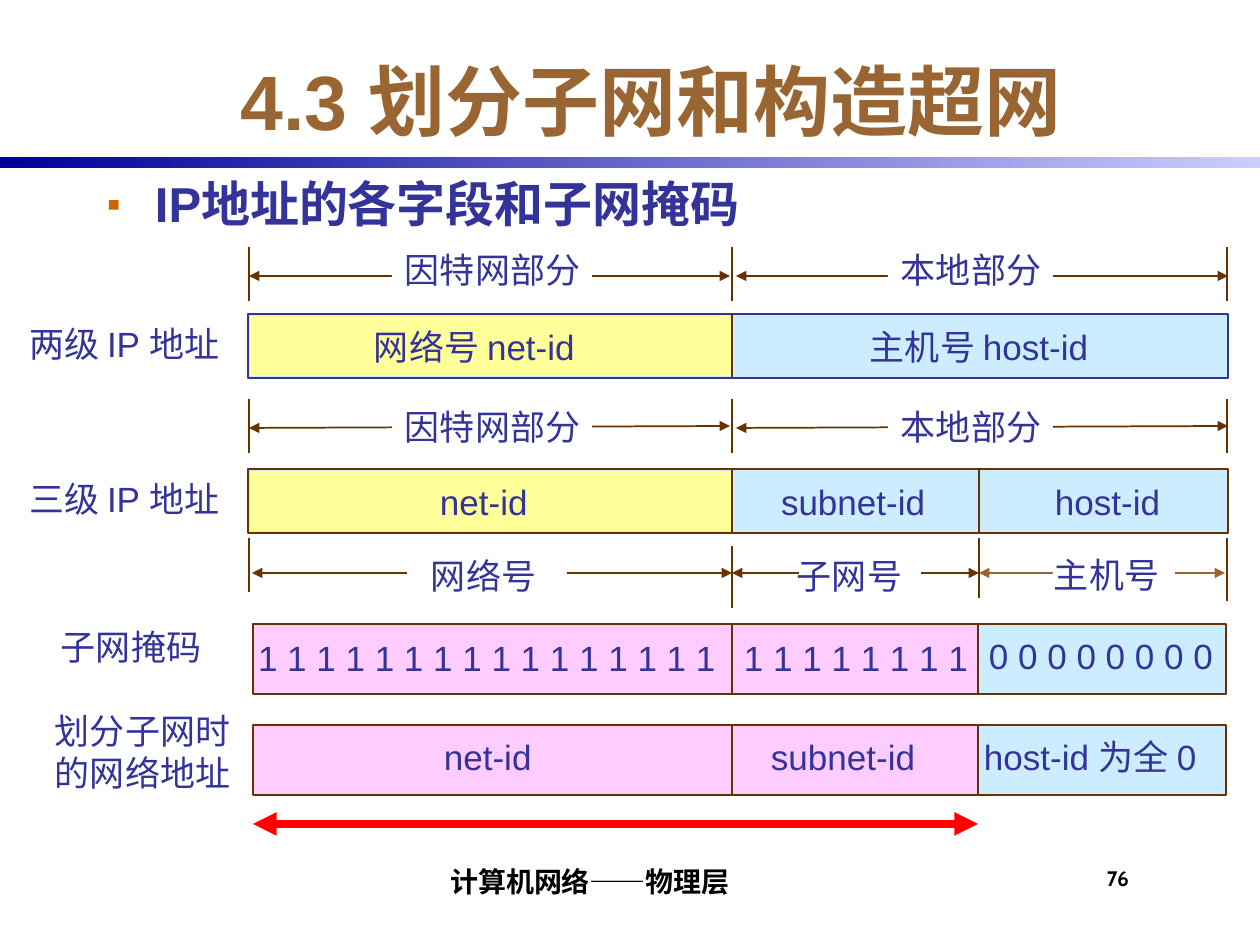
from pptx import Presentation
from pptx.dml.color import RGBColor
from pptx.enum.shapes import MSO_CONNECTOR as Connector, MSO_SHAPE as Shape
from pptx.enum.text import MSO_ANCHOR as Anchor, MSO_AUTO_SIZE as AutoSize, PP_ALIGN as Align
from pptx.oxml.ns import qn
from pptx.util import Emu, Pt
from lxml.etree import SubElement

EMU_PER_PX = 914400 / 126
NAVY, BROWN, TAN, RED = "333399", "663300", "996633", "FF0000"
YELLOW, BLUE, PINK, WHITE = "FFFF99", "CCECFF", "FFCCFF", "FFFFFF"
# Edges shared by the field columns
LEFT, MIDDLE, SPLIT, RIGHT = 249, 732, 979, 1227
# Insets: left, top, right, bottom; labels leave the right side free for text
PADDING = (13, 6, 13, 6)
LABEL_PADDING = (13, 6, 0, 6)


def px(length):
    return Emu(round(length * EMU_PER_PX))


def color(hex_value):
    return RGBColor.from_string(hex_value)


def add_run(paragraph, text, size, hex_color=NAVY, bold=False, name="Arial"):
    run = paragraph.add_run()
    run.text = text
    run.font.size, run.font.bold, run.font.name = Pt(size), bold, name
    run.font.color.rgb = color(hex_color)


def set_frame(shape, insets=PADDING, anchor=Anchor.TOP):
    frame = shape.text_frame
    frame.margin_left, frame.margin_top, frame.margin_right, frame.margin_bottom = map(px, insets)
    frame.vertical_anchor = anchor
    frame.word_wrap = True
    frame.auto_size = AutoSize.NONE
    return frame


def add_box(slide, left, top, width, height, fill, line=None, points=1):
    box = slide.shapes.add_shape(Shape.RECTANGLE, *map(px, (left, top, width, height)))
    box.shadow.inherit = False
    box.fill.solid()
    box.fill.fore_color.rgb = color(fill)
    if line:
        box.line.color.rgb = color(line)
        box.line.width = Pt(points)
    else:
        box.line.fill.background()
    return box


def add_text_box(slide, left, top, width, height, **frame_options):
    box = slide.shapes.add_textbox(*map(px, (left, top, width, height)))
    return set_frame(box, **frame_options)


def write_label(frame, lines):
    for number, text in enumerate(lines):
        paragraph = frame.add_paragraph() if number else frame.paragraphs[0]
        paragraph.alignment = Align.LEFT
        add_run(paragraph, text, 20)


def add_label(slide, left, top, width, *lines):
    frame = add_text_box(slide, left, top, width, 12 + 42 * len(lines), insets=LABEL_PADDING)
    write_label(frame, lines)


def add_line(slide, start, end, hex_color=BROWN, points=1.0, arrows=False):
    line = slide.shapes.add_connector(Connector.STRAIGHT, *map(px, start + end))
    line.line.color.rgb = color(hex_color)
    line.line.width = Pt(points)
    properties = line._element.spPr
    if arrows:
        outline = properties.find(qn("a:ln"))
        for tag in ("a:headEnd", "a:tailEnd"):
            SubElement(outline, qn(tag), type="triangle")
    SubElement(properties, qn("a:effectLst"))


def add_tick(slide, x, top, bottom, points=1.0):
    add_line(slide, (x, top), (x, bottom), points=points)


def add_header(slide):
    band = add_box(slide, 0, 157, 1260, 11, WHITE)
    band.fill.gradient()
    band.fill.gradient_angle = 0
    for stop, hex_value in zip(band.fill.gradient_stops, ("000099", "CCCCFF")):
        stop.color.rgb = color(hex_value)

    title = slide.shapes.title
    title.left, title.top, title.width, title.height = map(px, (116, 42, 1071, 116))
    paragraph = set_frame(title, anchor=Anchor.MIDDLE).paragraphs[0]
    paragraph.alignment = Align.CENTER
    add_run(paragraph, "4.3 划分子网和构造超网", 44, TAN, True)

    # Bulleted heading
    paragraph = add_text_box(slide, 94, 168, 1071, 630).paragraphs[0]
    properties = paragraph._p.get_or_add_pPr()
    properties.set("marL", str(px(48)))
    properties.set("indent", str(-px(48)))
    SubElement(SubElement(properties, qn("a:buClr")), qn("a:srgbClr"), val="CC6600")
    SubElement(properties, qn("a:buSzPct"), val="80000")
    SubElement(properties, qn("a:buFont"), typeface="Arial")
    SubElement(properties, qn("a:buChar"), char="▪")
    add_run(paragraph, "IP地址的各字段和子网掩码", 28, NAVY, True)


def add_part_spans(slide, top, label_top, arrow_start, arrow_end):
    """Mark the internet part and the local part above an address."""
    spans = ((LEFT, MIDDLE - 2, 392, 200, "因特网部分"),
             (MIDDLE + 4, RIGHT + 1, 888, 165, "本地部分"))
    for start, end, left, width, text in spans:
        add_line(slide, (start, arrow_start), (end, arrow_end), arrows=True)
        cover = add_box(slide, left, label_top, width, 54, WHITE)
        write_label(set_frame(cover, insets=LABEL_PADDING), [text])
    for x in (LEFT, MIDDLE, RIGHT):
        add_tick(slide, x, top, top + 54, 0.75)


def add_address(slide, top, line, name, fields, dividers):
    add_box(slide, 248, top, 980, 64, BLUE, line)
    add_box(slide, LEFT + 1, top + 2, MIDDLE - LEFT - 2, 60, YELLOW)
    add_label(slide, 16, top + 2, 233, name)
    for left, width, text in fields:
        add_label(slide, left, top + 5, width, text)
    for x in dividers:
        add_tick(slide, x, top, top + 63)


def add_id_spans(slide):
    """Mark the three fields below the three-level address."""
    spans = ((LEFT + 3, MIDDLE, BROWN, 407, 160, 418, 548, "网络号"),
             (MIDDLE, SPLIT, BROWN, 799, 122, 784, 548, "子网号"),
             (SPLIT, RIGHT - 2, TAN, 1053, 122, 1041, 547, "主机号"))
    for start, end, line, left, width, text_left, text_top, text in spans:
        add_line(slide, (start, 573), (end, 573), line, arrows=True)
        add_box(slide, left, 558, width, 38, WHITE)
        add_label(slide, text_left, text_top, 130, text)
    for x, top, bottom, points in ((LEFT, 538, 592, 0.75), (MIDDLE, 546, 608, 1),
                                   (SPLIT, 538, 598, 0.75), (RIGHT, 538, 601, 1)):
        add_tick(slide, x, top, bottom, points)


def add_mask_bar(slide, top):
    add_box(slide, 978, top, 248, 70, BLUE, BROWN, 0.75)
    add_box(slide, 253, top, 725, 70, PINK, BROWN, 0.75)
    add_tick(slide, MIDDLE, top, top + 70)


def add_mask(slide):
    add_mask_bar(slide, 624)
    add_label(slide, 48, 619, 165, "子网掩码")
    paragraph = add_text_box(slide, 245, 624, 736, 63, insets=LABEL_PADDING).paragraphs[0]
    tabs = SubElement(paragraph._p.get_or_add_pPr(), qn("a:tabLst"))
    SubElement(tabs, qn("a:tab"), pos=str(px(486)), algn="l")
    add_run(paragraph, " ".join("1" * 16), 20)
    add_run(paragraph, "\t", 24)
    add_run(paragraph, " ".join("1" * 8), 20)
    add_label(slide, 976, 628, 250, " ".join("0" * 8))


def add_network_address(slide):
    add_mask_bar(slide, 725)
    add_label(slide, 42, 703, 200, "划分子网时", "的网络地址")
    for left, width, text in ((431, 112, "net-id"), (758, 169, "subnet-id"),
                              (971, 255, "host-id 为全 0")):
        add_label(slide, left, 729, width, text)
    add_line(slide, (253, 824), (978, 824), RED, 4.5, arrows=True)


def add_footer(slide):
    paragraph = add_text_box(slide, 262, 850, 651, 53, insets=(5, 0, 0, 5),
                             anchor=Anchor.BOTTOM).paragraphs[0]
    paragraph.alignment = Align.CENTER
    add_run(paragraph, "计算机网络——物理层", 16, "000000", True, "Cabin")
    number = add_text_box(slide, 1102, 861, 73, 53, insets=(5, 5, 0, 0)).paragraphs[0]
    add_run(number, "76", 12, "000000", True, "Cabin")


def main():
    presentation = Presentation()
    presentation.slide_width, presentation.slide_height = px(1260), px(945)
    slide = presentation.slides.add_slide(presentation.slide_layouts[5])
    add_header(slide)

    # Two-level address
    add_part_spans(slide, 247, 242, 276, 276)
    add_address(slide, 314, NAVY, "两级 IP 地址",
                ((361, 234, "网络号 net-id"), (857, 252, "主机号 host-id")), (MIDDLE,))

    # Three-level address
    add_part_spans(slide, 399, 399, 428, 426)
    add_address(slide, 469, BROWN, "三级 IP 地址",
                ((427, 112, "net-id"), (768, 169, "subnet-id"), (1042, 130, "host-id")),
                (MIDDLE, SPLIT))
    add_id_spans(slide)

    # Subnet mask and the resulting network address
    add_mask(slide)
    add_network_address(slide)
    add_footer(slide)
    presentation.save("out.pptx")


if __name__ == "__main__":
    main()
